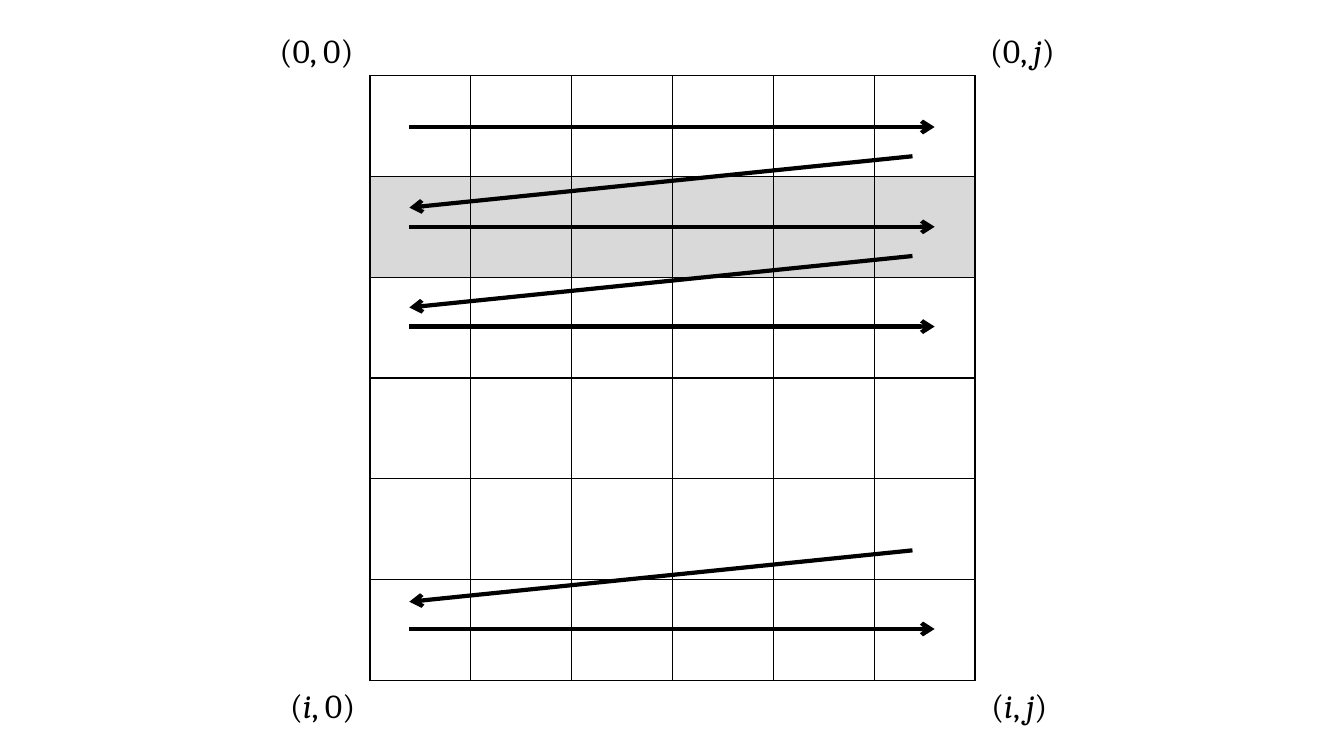
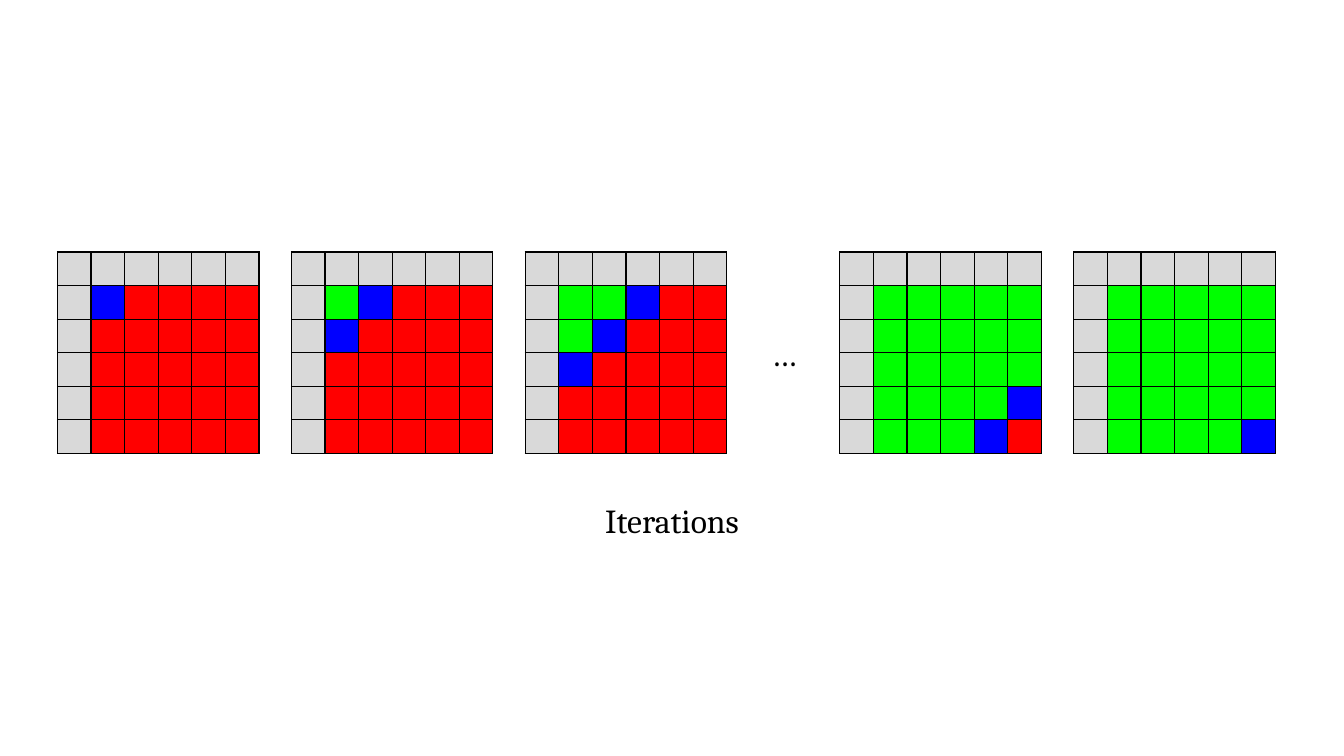
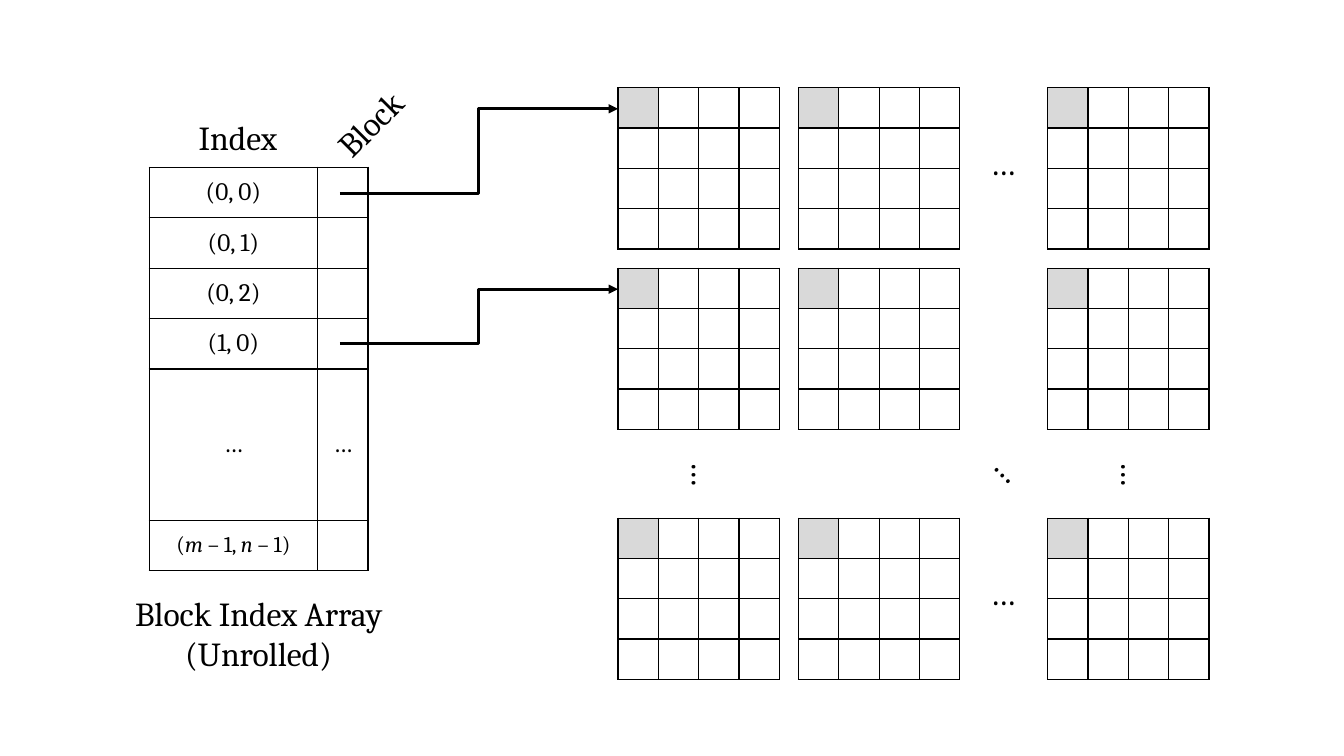
from lxml.etree import SubElement
from pptx import Presentation
from pptx.dml.color import RGBColor
from pptx.enum.shapes import MSO_CONNECTOR
from pptx.enum.text import MSO_ANCHOR, MSO_AUTO_SIZE, PP_ALIGN
from pptx.oxml.ns import qn
from pptx.util import Inches, Pt

BLACK = RGBColor(0x00, 0x00, 0x00)
WHITE = RGBColor(0xFF, 0xFF, 0xFF)
GRAY = RGBColor(0xD9, 0xD9, 0xD9)
RED = RGBColor(0xFF, 0x00, 0x00)
GREEN = RGBColor(0x00, 0xFF, 0x00)
BLUE = RGBColor(0x00, 0x00, 0xFF)
FONT = "Cambria"
LABEL_SIZE = 24
BLANK_LAYOUT = 6


def write_text(paragraph, text, size=LABEL_SIZE, align=PP_ALIGN.CENTER):
    """Fill a paragraph, setting the parts between asterisks in italics."""
    paragraph.alignment = align
    for position, part in enumerate(text.split("*")):
        if part:
            run = paragraph.add_run()
            run.text = part
            run.font.name = FONT
            run.font.size = Pt(size)
            run.font.italic = position % 2 == 1
            run.font.color.rgb = BLACK


def add_label(slide, text, left, top, width, height=0.5, rotation=0, align=PP_ALIGN.CENTER):
    """Add a text box with one paragraph for each line of text."""
    shape = slide.shapes.add_textbox(Inches(left), Inches(top), Inches(width), Inches(height))
    shape.rotation = rotation
    frame = shape.text_frame
    frame.word_wrap = True
    frame.auto_size = MSO_AUTO_SIZE.SHAPE_TO_FIT_TEXT
    for number, line in enumerate(text.split("\n")):
        paragraph = frame.add_paragraph() if number else frame.paragraphs[0]
        write_text(paragraph, line, align=align)


def format_cell(cell, fill, text="", size=18):
    """Give a cell its borders, fill and centred text."""
    properties = cell._tc.get_or_add_tcPr()
    for side in ("a:lnL", "a:lnR", "a:lnT", "a:lnB"):
        border = SubElement(properties, qn(side), w=str(Pt(1)))
        SubElement(SubElement(border, qn("a:solidFill")), qn("a:srgbClr"), val=str(BLACK))
    cell.fill.solid()
    cell.fill.fore_color.rgb = fill
    cell.margin_left = cell.margin_right = cell.margin_top = cell.margin_bottom = 0
    cell.vertical_anchor = MSO_ANCHOR.MIDDLE
    paragraph = cell.text_frame.paragraphs[0]
    if text:
        write_text(paragraph, text, size)
    else:
        SubElement(paragraph._p, qn("a:endParaRPr"), sz="800")


def add_plain_table(slide, left, top, widths, heights):
    """Add an unbanded table with the given column widths and row heights."""
    frame = slide.shapes.add_table(
        len(heights), len(widths), Inches(left), Inches(top), Inches(sum(widths)), Inches(sum(heights)))
    table = frame.table
    table.first_row = table.horz_banding = False
    for column, width in zip(table.columns, widths):
        column.width = Inches(width)
    for row, height in zip(table.rows, heights):
        row.height = Inches(height)
    return table


def add_matrix(slide, left, top, side, count, fill_rule):
    """Add a square grid whose cell colours follow from row and column."""
    sizes = [side / count] * count
    table = add_plain_table(slide, left, top, sizes, sizes)
    for row in range(count):
        for column in range(count):
            format_cell(table.cell(row, column), fill_rule(row, column))


def add_arrow(slide, start, end, kind=MSO_CONNECTOR.STRAIGHT, width=3, head="arrow"):
    """Add a black connector with an arrowhead at its end."""
    connector = slide.shapes.add_connector(kind, *map(Inches, (*start, *end)))
    connector.line.color.rgb = BLACK
    connector.line.width = Pt(width)
    SubElement(connector.line._get_or_add_ln(), qn("a:tailEnd"), type=head)
    SubElement(connector._element.spPr, qn("a:effectLst"))


def add_traversal(slide, left, top, side):
    """Draw a matrix with its corner labels and row-by-row arrows."""
    add_matrix(slide, left, top, side, 6, lambda row, column: GRAY if row == 1 else WHITE)
    right, above, below = left + side, top - 0.5, top + side
    add_label(slide, "(0, 0)", left - 1.06, above, 1.06)
    add_label(slide, "(*i*, *j*)", right, below, 0.88)
    add_label(slide, "(0, *j*)", right, above, 0.94)
    add_label(slide, "(*i*, 0)", left - 0.94, below, 0.94)
    start = left + 0.39
    for offset in (0.51, 1.5, 2.49, 5.49):
        add_arrow(slide, (start, top + offset), (left + 5.6, top + offset))
    for offset in (0.8, 1.79, 4.71):
        add_arrow(slide, (left + 5.38, top + offset), (start, top + offset + 0.51))


def add_iteration(slide, left, top, side, diagonal):
    """Draw a matrix in which one diagonal is the active wavefront."""
    def fill_rule(row, column):
        """Choose the colour by the position relative to the wavefront."""
        if row == 0 or column == 0:
            return GRAY
        if row + column == diagonal:
            return BLUE
        return GREEN if row + column < diagonal else RED

    add_matrix(slide, left, top, side, 6, fill_rule)


def add_wavefront(slide, left, top):
    """Draw the row of iterations with its caption."""
    side, pitch, late_start = 2, 2.32, 7.76
    offsets = [0, pitch, 2 * pitch, late_start, late_start + pitch]
    for offset, diagonal in zip(offsets, (2, 3, 4, 9, 10)):
        add_iteration(slide, left + offset, top, side, diagonal)
    add_label(slide, "…", left + 6.83, top + 0.75, 0.75)
    add_label(slide, "Iterations", left + 5.21, top + 2.41, 1.77)


def add_index_array(slide, left, top):
    """Draw the index table with its headings and caption."""
    rows = [("(0, 0)", "", 0.5), ("(0, 1)", "", 0.5), ("(0, 2)", "", 0.5), ("(1, 0)", "", 0.5),
            ("…", "…", 1.5), ("(*m *– 1, *n *– 1)", "", 0.5)]
    table = add_plain_table(slide, left, top, [1.67, 0.5], [height for _, _, height in rows])
    for number, (index, block, _) in enumerate(rows):
        format_cell(table.cell(number, 0), WHITE, index, 16 if "*" in index else 18)
        format_cell(table.cell(number, 1), WHITE, block)
    add_label(slide, "Index", left + 0.2, top - 0.55, 1.36)
    add_label(slide, "Block", left + 1.65, top - 0.83, 1.36, rotation=315, align=PP_ALIGN.LEFT)
    add_label(slide, "Block Index Array\n(Unrolled)", left - 0.73, top + 4.17, 3.63, 0.91)


def add_block_grid(slide, left, top):
    """Draw the blocks in rows and columns with dots for those left out."""
    for row_offset in (0, 1.79, 4.27):
        for column_offset in (0, 1.79, 4.26):
            add_matrix(slide, left + column_offset, top + row_offset, 1.6, 4,
                       lambda row, column: GRAY if row == column == 0 else WHITE)
    for x, y, rotation in ((3.54, 0.49, 0), (3.54, 4.75, 0), (4.85, 3.58, 90),
                           (0.59, 3.58, 90), (3.61, 3.51, 45)):
        add_label(slide, "…", left + x, top + y, 0.55, rotation=rotation)


def add_block_storage(slide):
    """Draw the index array, the blocks and the arrows between them."""
    array_left, array_top, grid_left, grid_top = 1.48, 1.66, 6.13, 0.87
    add_index_array(slide, array_left, array_top)
    add_block_grid(slide, grid_left, grid_top)
    for entry_offset, block_offset in ((0.26, 0.21), (1.75, 2)):
        add_arrow(slide, (array_left + 1.89, array_top + entry_offset), (grid_left, grid_top + block_offset),
                  kind=MSO_CONNECTOR.ELBOW, width=2.25, head="triangle")


def main():
    """Build and save the three slides."""
    presentation = Presentation()
    presentation.slide_width = Inches(13.33)
    presentation.slide_height = Inches(7.5)
    layout = presentation.slide_layouts[BLANK_LAYOUT]
    add_traversal(presentation.slides.add_slide(layout), 3.67, 0.75, 6)
    add_wavefront(presentation.slides.add_slide(layout), 0.57, 2.5)
    add_block_storage(presentation.slides.add_slide(layout))
    presentation.save("out.pptx")


if __name__ == "__main__":
    main()
